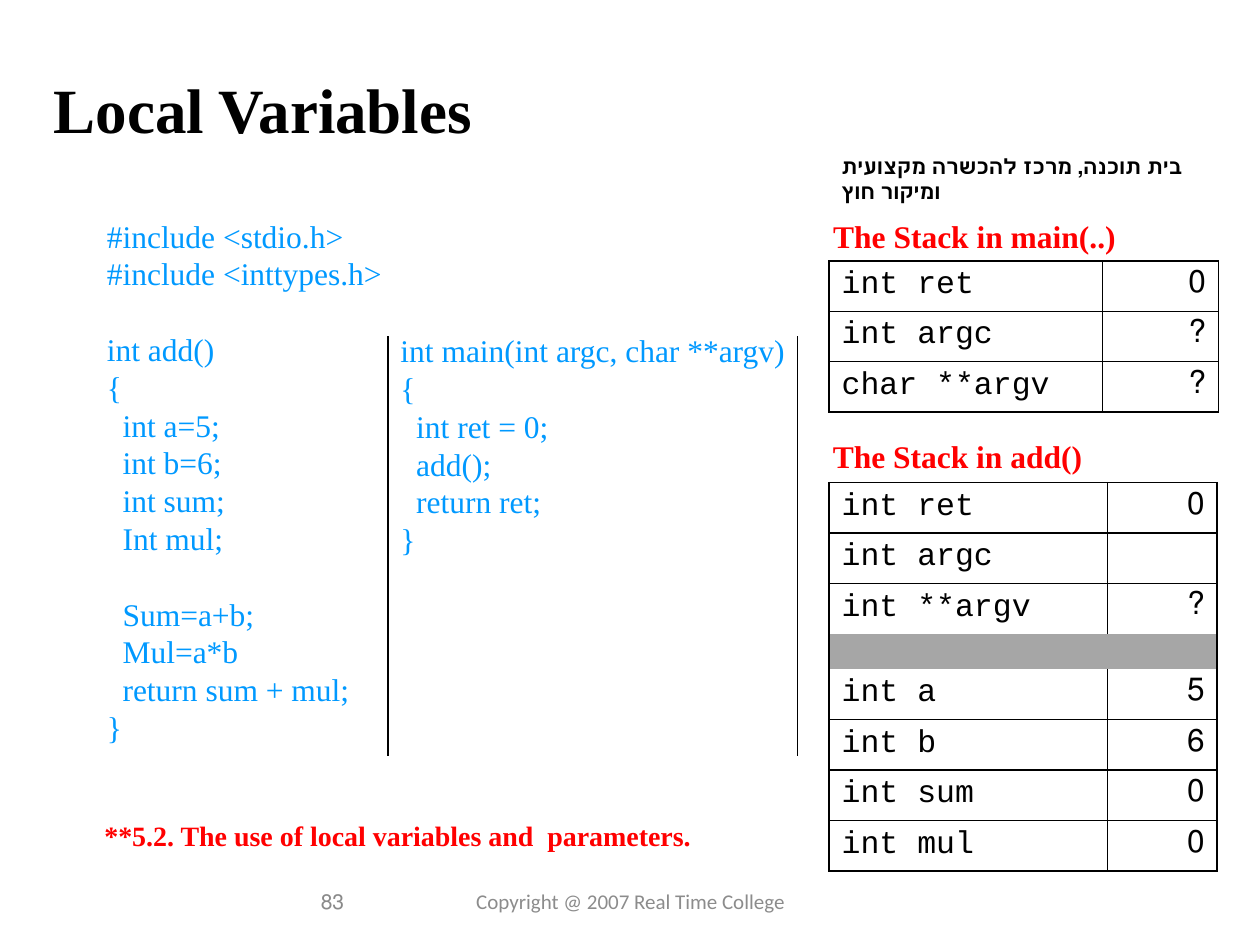
"""Build the Local Variables slide with its code listings and stack tables."""
from lxml import etree
from pptx import Presentation
from pptx.dml.color import RGBColor
from pptx.enum import shapes, text
from pptx.oxml import ns
from pptx.util import Inches, Pt

SERIF, SANS, MONO = "Times New Roman", "Arial", "Courier New"
BLACK, RED, BLUE, GREY = "000000", "FF0000", "0099FF", "A6A6A6"
LEFT, CENTER, RIGHT = text.PP_ALIGN.LEFT, text.PP_ALIGN.CENTER, text.PP_ALIGN.RIGHT
TOP, MIDDLE = text.MSO_ANCHOR.TOP, text.MSO_ANCHOR.MIDDLE


def rgb(value):
    return RGBColor.from_string(value)


def write(p, line, size, font, color, bold=False, align=LEFT, rtl=False):
    p.text = line
    p.alignment = align
    if rtl:
        p._p.get_or_add_pPr().set("rtl", "1")
    p.font.size = Pt(size)
    p.font.name = font
    p.font.bold = bold
    p.font.color.rgb = rgb(color)


prs = Presentation()
prs.slide_width, prs.slide_height = Inches(10), Inches(7.5)
s = prs.slides.add_slide(prs.slide_layouts[6])

labels = [
    ("בית תוכנה, מרכז להכשרה מקצועית ומיקור חוץ", (6.58, 1.17, 3.07, 0.3),
     (12, SANS, BLACK, True, LEFT, True), TOP, True),
    ("Copyright @ 2007 Real Time College", (3.42, 6.95, 3.17, 0.4),
     (12, "Calibri", "8C8C8C", False, CENTER, True), MIDDLE, True),
    ("83", (0.5, 6.95, 2.33, 0.4), (12, SANS, "898989", False, RIGHT, True), MIDDLE, True),
    ("**5.2. The use of local variables and  parameters.", (0.73, 6.45, 5.17, 0.4),
     (16, SERIF, RED, True), TOP, True),
    ("Local Variables", (0.33, 0.51, 3.58, 0.7), (36, SERIF, BLACK, True), TOP, False),
    ("The Stack in main(..)", (6.5, 1.67, 2.47, 0.4),
     (18, SERIF, RED, True, CENTER), TOP, False),
    ("The Stack in add()", (6.5, 3.42, 2.2, 0.4),
     (18, SERIF, RED, True, CENTER), TOP, False),
]
for line, box, style, anchor, wrap in labels:
    tf = s.shapes.add_textbox(*map(Inches, box)).text_frame
    tf.word_wrap = wrap
    tf.vertical_anchor = anchor
    write(tf.paragraphs[0], line, *style)

add_code = """#include <stdio.h>
#include <inttypes.h>

int add()
{
  int a=5;
  int b=6;
  int sum;
  Int mul;

  Sum=a+b;
  Mul=a*b
  return sum + mul;
}"""
main_code = """int main(int argc, char **argv)
{
  int ret = 0;
  add();
  return ret;
}"""
for code, box in [(add_code, (0.75, 1.67, 3.33, 4.31)), (main_code, (3.08, 2.58, 3.42, 1.92))]:
    tf = s.shapes.add_textbox(*map(Inches, box)).text_frame
    tf.word_wrap = True
    p = tf.paragraphs[0]
    for b, block in enumerate(code.split("\n\n")):
        for i, line in enumerate(block.split("\n")):
            if b or i:
                p = tf.add_paragraph()
            p.line_spacing = Pt(21.6)
            if b and not i:
                p.space_before = Pt(21.6)
            write(p, line, 18, SERIF, BLUE)

for x in (3.08, 6.33):
    c = s.shapes.add_connector(shapes.MSO_CONNECTOR.STRAIGHT,
                               Inches(x), Inches(2.67), Inches(x), Inches(6))
    c.line.color.rgb = rgb(BLACK)
    c.line.width = Pt(0.75)
    etree.SubElement(c._element.spPr, ns.qn("a:effectLst"))

main_stack = [("int ret", "0"), ("int argc", "?"), ("char **argv", "?")]
add_stack = [("int ret", "0"), ("int argc", ""), ("int **argv", "?"), None,
             ("int a", "5"), ("int b", "6"), ("int sum", "0"), ("int mul", "0")]
for rows, top, widths in [(main_stack, 2.07, (2.17, 0.92)), (add_stack, 3.83, (2.21, 0.87))]:
    heights = [0.4 if row else 0.28 for row in rows]
    table = s.shapes.add_table(len(rows), 2, Inches(6.58), Inches(top),
                               Inches(3.08), Inches(sum(heights))).table
    table.first_row = table.horz_banding = False
    for column, width in zip(table.columns, widths):
        column.width = Inches(width)
    for i, row in enumerate(rows):
        table.rows[i].height = Inches(heights[i])
        hidden = set() if row else {"lnT", "lnB"}
        if i and rows[i - 1] is None:
            hidden.add("lnT")
        if i + 1 < len(rows) and rows[i + 1] is None:
            hidden.add("lnB")
        for j in range(2):
            cell = table.cell(i, j)
            inner = set() if row else {("lnR", "lnL")[j]}
            tcPr = cell._tc.get_or_add_tcPr()
            for side in ("lnL", "lnR", "lnT", "lnB"):
                ln = etree.SubElement(tcPr, ns.qn("a:" + side), w=str(Pt(1)))
                if side in hidden | inner:
                    etree.SubElement(ln, ns.qn("a:noFill"))
                else:
                    fill = etree.SubElement(ln, ns.qn("a:solidFill"))
                    etree.SubElement(fill, ns.qn("a:srgbClr"), val=BLACK)
            p = cell.text_frame.paragraphs[0]
            if row:
                cell.fill.background()
                write(p, row[j], 18, MONO, BLACK, False, (LEFT, RIGHT)[j], j == 1)
            else:
                cell.fill.solid()
                cell.fill.fore_color.rgb = rgb(GREY)
                cell.margin_top = cell.margin_bottom = 0
                p.font.size = Pt(8)

prs.save("out.pptx")
